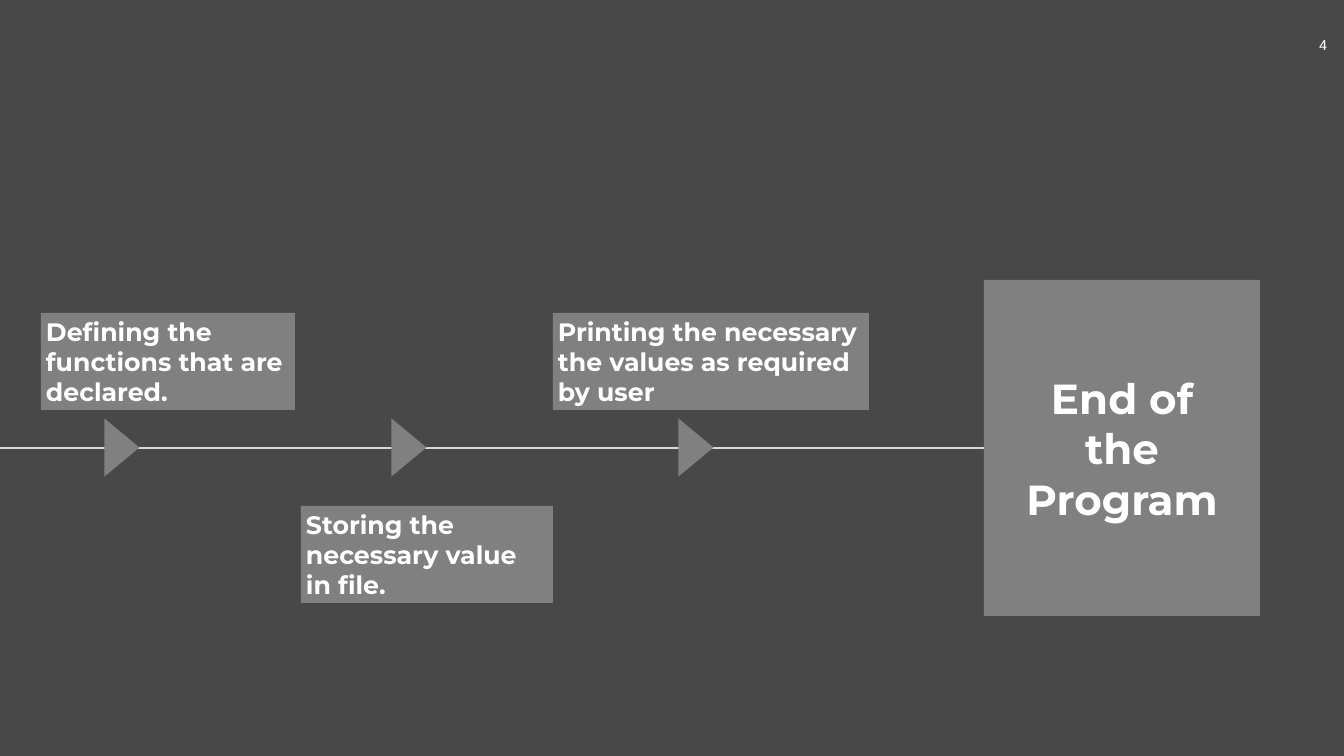
"""Build the closing timeline slide of a program walkthrough."""
from pptx import Presentation, util as u
from pptx.dml.color import RGBColor
from pptx.enum import shapes, text
from pptx.oxml.ns import qn
from lxml import etree

SCALE = 914400 / 50.4
BACKGROUND, GREY, LINE, WHITE = "484848", "808080", "D9D9D9", "FFFFFF"


def px(length):
    return u.Emu(round(length * SCALE))


def color(value):
    return RGBColor.from_string(value)


class TimelineSlide:
    heading_font = "Montserrat"
    number_font = "Roboto"

    def __init__(self, presentation):
        self.slide = presentation.slides.add_slide(presentation.slide_layouts[6])
        fill = self.slide.background.fill
        fill.solid()
        fill.fore_color.rgb = color(BACKGROUND)

    def set_text(self, shape, words, size, font, align, bold=True):
        paragraph = shape.text_frame.paragraphs[0]
        paragraph.text = words
        paragraph.alignment = align
        paragraph.font.name = font
        paragraph.font.size = u.Pt(size)
        paragraph.font.bold = bold
        paragraph.font.color.rgb = color(WHITE)

    def block(self, kind, left, top, width, height):
        shape = self.slide.shapes.add_shape(kind, *map(px, (left, top, width, height)))
        shape.shadow.inherit = False
        shape.fill.solid()
        shape.fill.fore_color.rgb = color(GREY)
        shape.line.fill.background()
        return shape

    def label(self, words, left, top, width, height, size=36, align=text.PP_ALIGN.LEFT):
        shape = self.block(shapes.MSO_SHAPE.RECTANGLE, left, top, width, height)
        shape.text_frame.word_wrap = True
        shape.text_frame.vertical_anchor = text.MSO_ANCHOR.MIDDLE
        self.set_text(shape, words, size, self.heading_font, align)

    def marker(self, left, top, width, height):
        shape = self.block(shapes.MSO_SHAPE.ISOSCELES_TRIANGLE, left, top, width, height)
        shape.rotation = 90

    def line(self, x1, y1, x2, y2):
        connector = self.slide.shapes.add_connector(
            shapes.MSO_CONNECTOR.STRAIGHT, *map(px, (x1, y1, x2, y2)))
        connector.line.color.rgb = color(LINE)
        connector.line.width = u.Pt(3)
        etree.SubElement(connector._element.spPr, qn("a:effectLst"))

    def page_number(self, words, left, top, width, height):
        box = self.slide.shapes.add_textbox(*map(px, (left, top, width, height)))
        box.text_frame.word_wrap = False
        self.set_text(box, words, 20, self.number_font, text.PP_ALIGN.CENTER, bold=False)


presentation = Presentation()
presentation.slide_width, presentation.slide_height = px(1344), px(756)
timeline = TimelineSlide(presentation)

timeline.page_number("4", 1300, 34, 46, 27)
timeline.line(1094, 448, 0, 448)
timeline.block(shapes.MSO_SHAPE.RECTANGLE, 984, 280, 276, 336)
timeline.label("End of the Program", 1011, 369, 222, 158, 60, text.PP_ALIGN.CENTER)

steps = [
    ("Defining the functions that are declared.", 41, 313, 254),
    ("Storing the necessary value in file.", 301, 506, 252),
    ("Printing the necessary the values as required by user", 553, 313, 316),
]
for index, (words, left, top, width) in enumerate(steps):
    timeline.label(words, left, top, width, 97)
    timeline.marker(93 + 287 * index, 430, 58, 35)

presentation.save("out.pptx")
